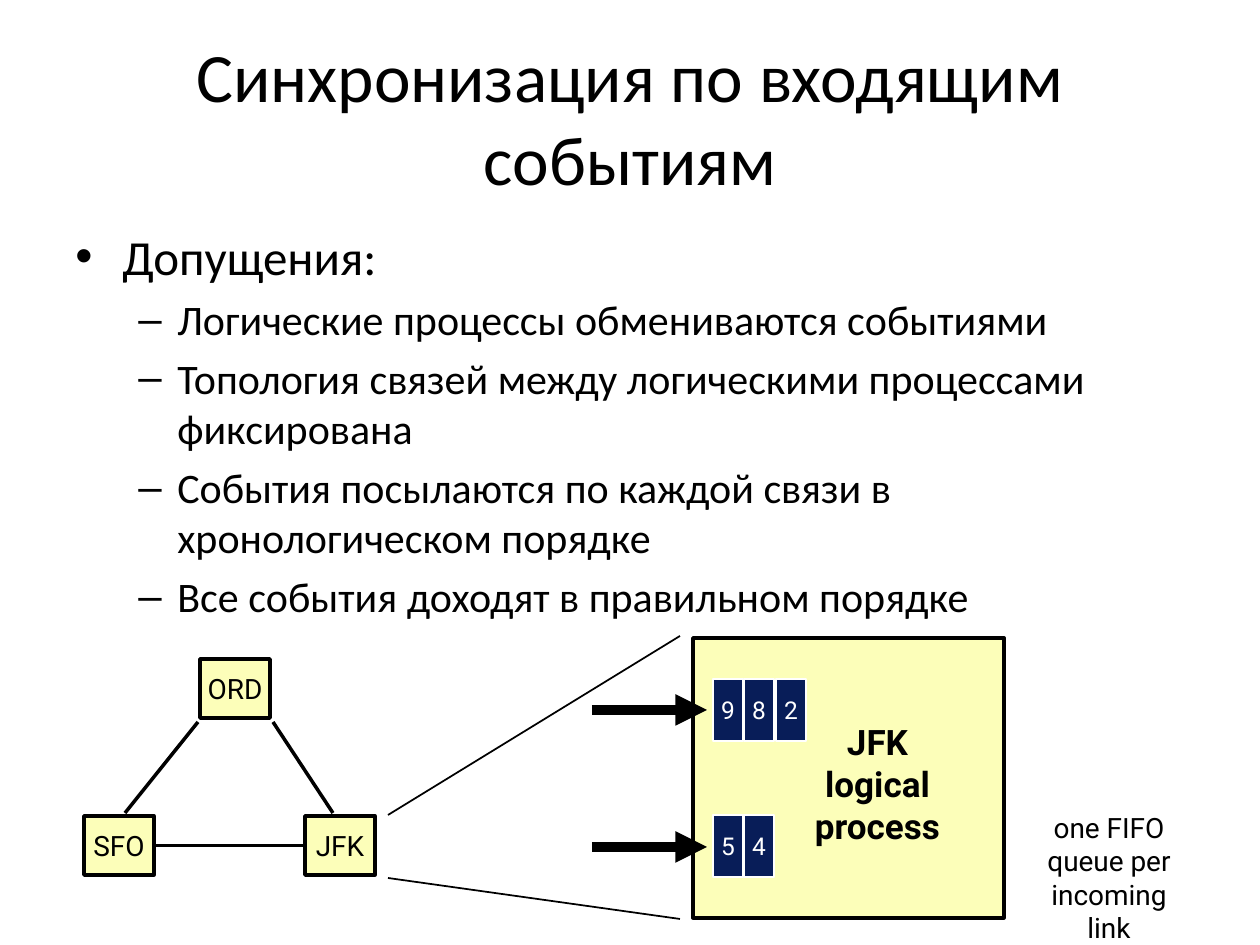
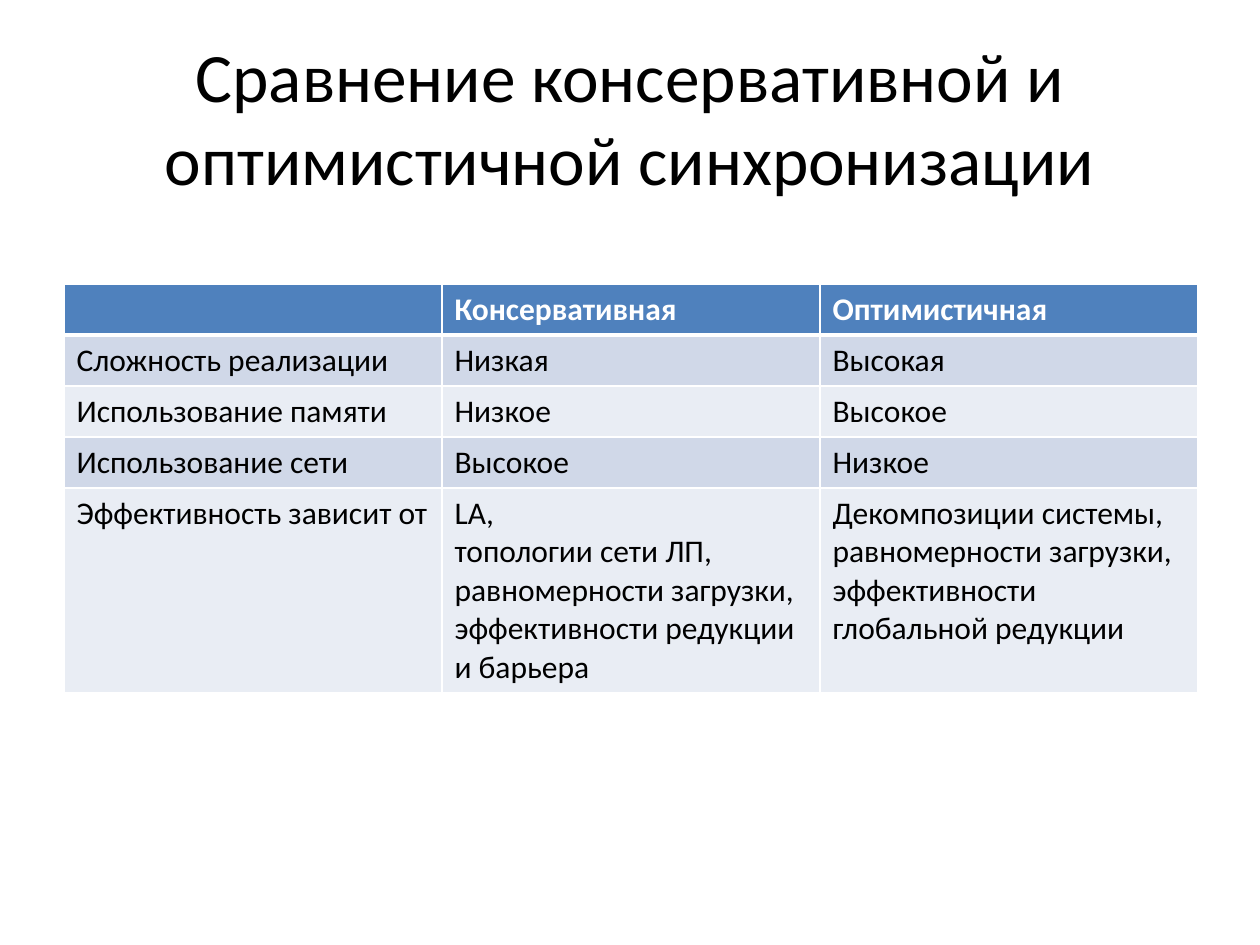
"""Build two slides on synchronization of logical processes."""
import pptx
import pptx.dml.color
import pptx.enum.shapes
import pptx.enum.text
import pptx.oxml
import pptx.oxml.ns
import pptx.util

RGB = pptx.dml.color.RGBColor
BLACK = RGB(0x00, 0x00, 0x00)
WHITE = RGB(0xFF, 0xFF, 0xFF)
CREAM = RGB(0xFC, 0xFE, 0xB9)
NAVY = RGB(0x08, 0x1D, 0x58)
HEADER_BLUE = RGB(0x4F, 0x81, 0xBD)
BANDS = [RGB(0xE9, 0xED, 0xF4), RGB(0xD0, 0xD8, 0xE8)]
PX = 914400 / 126
NS = pptx.oxml.ns.nsdecls("a")
LEFT = pptx.enum.text.PP_ALIGN.LEFT
CENTER = pptx.enum.text.PP_ALIGN.CENTER
MIDDLE = pptx.enum.text.MSO_ANCHOR.MIDDLE


def write(frame, text, font, size, color=BLACK, bold=False, align=CENTER):
    frame.text = text
    for paragraph in frame.paragraphs:
        paragraph.alignment = align
        for run in paragraph.runs:
            run.font.name = font
            run.font.size = pptx.util.Pt(size)
            run.font.color.rgb = color
            run.font.bold = bold


def draw_line(slide, ends, width):
    line = slide.shapes.add_connector(
        pptx.enum.shapes.MSO_CONNECTOR.STRAIGHT, *[round(v * PX) for v in ends])
    line.line.color.rgb = BLACK
    line.line.width = pptx.util.Pt(width)
    line._element.spPr.append(pptx.oxml.parse_xml(f"<a:effectLst {NS}/>"))
    return line


prs = pptx.Presentation()
prs.slide_width = round(1260 * PX)
prs.slide_height = round(945 * PX)

slides = []
for title in ["Синхронизация по входящим событиям",
              "Сравнение консервативной и оптимистичной синхронизации"]:
    slide = prs.slides.add_slide(prs.slide_layouts[6])
    title_box = slide.shapes.add_textbox(*[round(v * PX) for v in (63, 38, 1134, 157)])
    title_box.text_frame.word_wrap = True
    title_box.text_frame.vertical_anchor = MIDDLE
    write(title_box.text_frame, title, "Calibri", 39.6)
    slides.append(slide)
events_slide, comparison_slide = slides

assumptions = [
    "Допущения:",
    "Логические процессы обмениваются событиями",
    "Топология связей между логическими процессами фиксирована",
    "События посылаются по каждой связи в хронологическом порядке",
    "Все события доходят в правильном порядке",
]
assumption_box = events_slide.shapes.add_textbox(
    *[round(v * PX) for v in (63, 220, 1134, 624)])
assumption_box.text_frame.word_wrap = True
write(assumption_box.text_frame, "\n".join(assumptions), "Calibri", 24, align=LEFT)
for index, paragraph in enumerate(assumption_box.text_frame.paragraphs):
    level, size, margin, indent, mark = (1, 24, 102, -39, "–") if index else (0, 28, 47, -47, "•")
    paragraph.level = level
    paragraph.space_before = pptx.util.Pt(size * 0.2)
    paragraph.runs[0].font.size = pptx.util.Pt(size)
    properties = paragraph._p.get_or_add_pPr()
    properties.set("marL", str(round(margin * PX)))
    properties.set("indent", str(round(indent * PX)))
    properties.append(pptx.oxml.parse_xml(f'<a:buFont {NS} typeface="Arial"/>'))
    properties.append(pptx.oxml.parse_xml(f'<a:buChar {NS} char="{mark}"/>'))

process_panel = ("", 693, 638, 311, 280, CREAM, BLACK, 2, 16)
airports = [(code, left, top, 70, 59, CREAM, BLACK, 2, 16)
            for code, left, top in [("JFK", 305, 816), ("SFO", 84, 816), ("ORD", 200, 659)]]
queues = [(time, 713 + 63 * place // 2, top, 30, 62, NAVY, WHITE, 1, 14)
          for times, top in [("982", 679), ("54", 815)]
          for place, time in enumerate(times)]
boxes = {}
for text, left, top, width, height, fill, outline, weight, size in [
        process_panel, *airports, *queues]:
    box = events_slide.shapes.add_shape(
        pptx.enum.shapes.MSO_SHAPE.RECTANGLE,
        *[round(v * PX) for v in (left, top, width, height)])
    box.shadow.inherit = False
    box.fill.solid()
    box.fill.fore_color.rgb = fill
    box.line.color.rgb = outline
    box.line.width = pptx.util.Pt(weight)
    box.text_frame.word_wrap = False
    box.text_frame.vertical_anchor = MIDDLE
    write(box.text_frame, text, "Roboto", size, outline)
    boxes[text] = box

for ends, width in [((273, 722, 333, 813), 2), ((198, 722, 125, 813), 2),
                    ((388, 815, 680, 636), 1), ((388, 878, 680, 919), 1)]:
    draw_line(events_slide, ends, width)
airport_link = draw_line(events_slide, (154, 846, 305, 846), 2)
airport_link.begin_connect(boxes["SFO"], 3)
airport_link.end_connect(boxes["JFK"], 1)
for arrow_y in (710, 847):
    arrow = draw_line(events_slide, (592, arrow_y, 707, arrow_y), 6)
    arrow.line._get_or_add_ln().append(
        pptx.oxml.parse_xml(f'<a:tailEnd {NS} type="triangle"/>'))

for text, place, size, bold, wrap in [
        ("JFK\nlogical\nprocess", (798, 714, 159, 139), 20, True, False),
        ("one FIFO\nqueue per\nincoming link", (1016, 804, 186, 113), 16, False, True)]:
    caption = events_slide.shapes.add_textbox(*[round(v * PX) for v in place])
    caption.text_frame.word_wrap = wrap
    write(caption.text_frame, text, "Roboto", size, bold=bold)

comparison = [
    ["", "Консервативная", "Оптимистичная"],
    ["Сложность реализации", "Низкая", "Высокая"],
    ["Использование памяти", "Низкое", "Высокое"],
    ["Использование сети", "Высокое", "Низкое"],
    ["Эффективность зависит от",
     "LA,\nтопологии сети ЛП, равномерности загрузки, эффективности редукции и барьера",
     "Декомпозиции системы, равномерности загрузки, эффективности глобальной редукции"],
]
table = comparison_slide.shapes.add_table(
    5, 3, *[round(v * PX) for v in (64, 284, 1134, 409)]).table
for row, height in zip(table.rows, [51, 51, 51, 51, 205]):
    row.height = round(height * PX)
for row_index, texts in enumerate(comparison):
    header = row_index == 0
    for column_index, text in enumerate(texts):
        cell = table.cell(row_index, column_index)
        write(cell.text_frame, text, "Calibri", 18, WHITE if header else BLACK, header, LEFT)
        for side in "LRTB":
            thick = (header and side == "B") or (row_index == 1 and side == "T")
            cell._tc.get_or_add_tcPr().append(pptx.oxml.parse_xml(
                f'<a:ln{side} {NS} w="{pptx.util.Pt(3 if thick else 1)}"><a:solidFill>'
                f'<a:srgbClr val="{WHITE}"/></a:solidFill></a:ln{side}>'))
        cell.fill.solid()
        cell.fill.fore_color.rgb = HEADER_BLUE if header else BANDS[row_index % 2]

prs.save("out.pptx")
